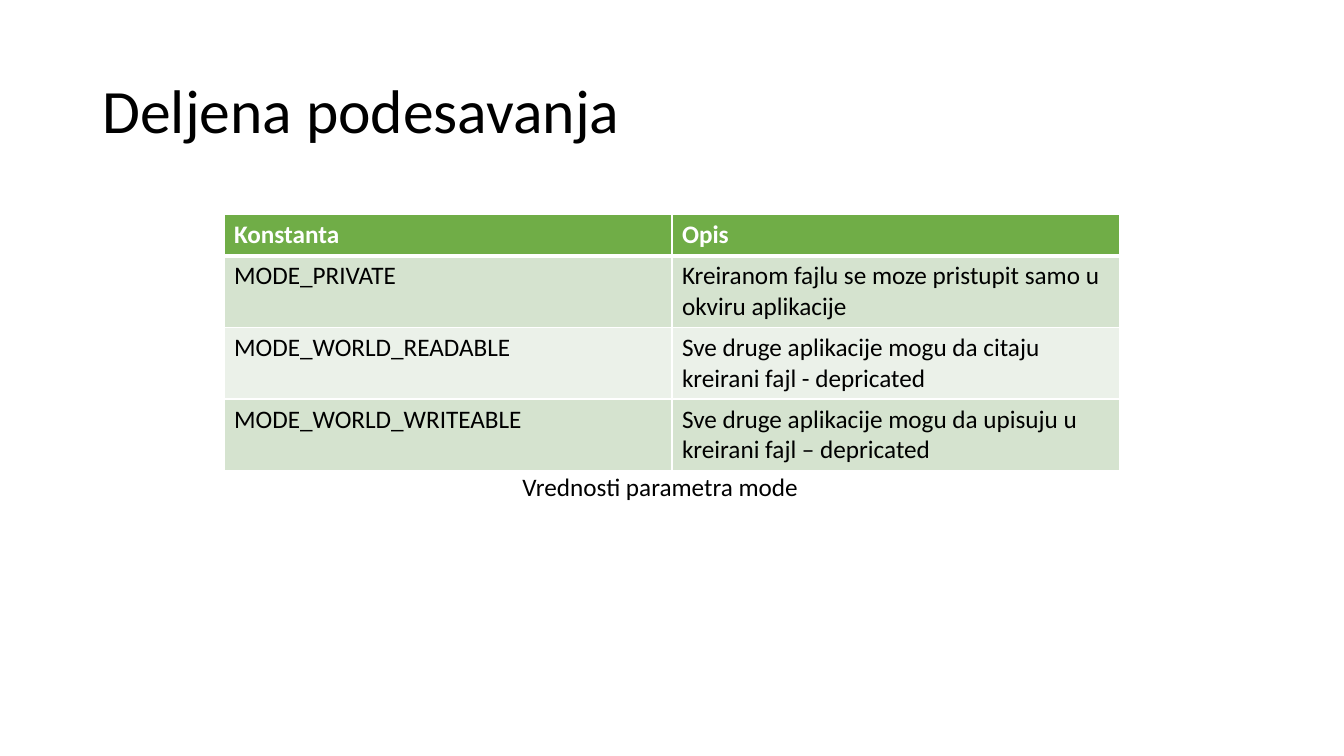
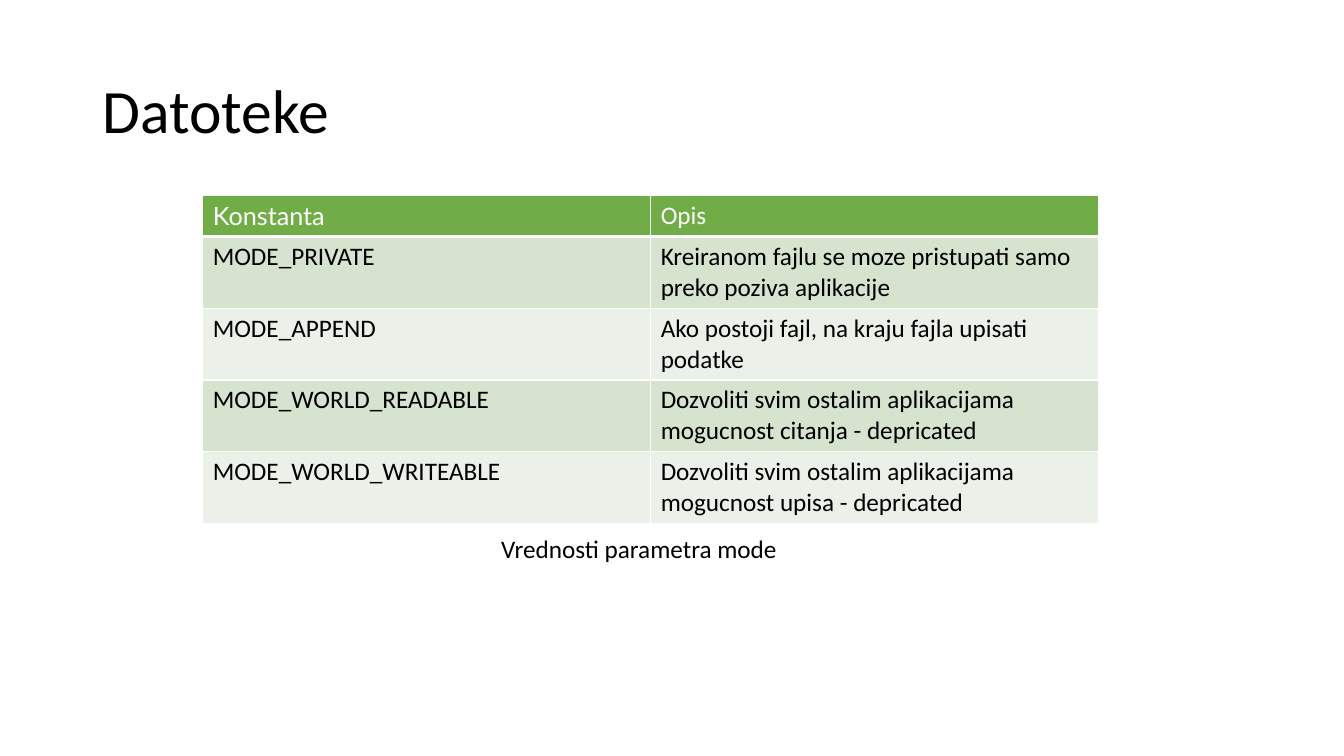
from dataclasses import dataclass

from lxml.etree import SubElement
from pptx import Presentation
from pptx.dml.color import RGBColor
from pptx.enum.text import MSO_ANCHOR, MSO_AUTO_SIZE, PP_ALIGN
from pptx.oxml.ns import qn
from pptx.presentation import Presentation as Deck
from pptx.slide import Slide
from pptx.table import _Cell
from pptx.text.text import TextFrame
from pptx.util import Pt

FONT = "Calibri"
BLACK, WHITE, GREEN = "000000", "FFFFFF", "70AD47"
BANDS = ("D5E3CF", "EBF1E9")
TITLE_SIZE, TEXT_SIZE = 44, 18
COLUMN_WIDTH, HEADER_HEIGHT, ROW_HEIGHT = 320, 29.2, 51.2
CAPTION_INDENT = 206
THIN, THICK = 1, 3


@dataclass(frozen=True)
class ModeTable:
    title: str
    left: float
    top: float
    rows: tuple[tuple[str, str], ...]
    caption_top: float
    header_fonts: tuple[str, str] = (FONT, FONT)
    header_bold: bool = False


HEADER = ("Konstanta", "Opis")
CAPTION = "Vrednosti parametra mode"
SLIDES = (
    ModeTable("Deljena podesavanja", 160, 153.4, (
        ("MODE_PRIVATE", "Kreiranom fajlu se moze pristupit samo u okviru aplikacije"),
        ("MODE_WORLD_READABLE", "Sve druge aplikacije mogu da citaju kreirani fajl - depricated"),
        ("MODE_WORLD_WRITEABLE", "Sve druge aplikacije mogu da upisuju u kreirani fajl – depricated"),
    ), 333.4, header_bold=True),
    ModeTable("Datoteke", 144.8, 139.8, (
        ("MODE_PRIVATE", "Kreiranom fajlu se moze pristupati samo preko poziva aplikacije"),
        ("MODE_APPEND", "Ako postoji fajl, na kraju fajla upisati podatke"),
        ("MODE_WORLD_READABLE", "Dozvoliti svim ostalim aplikacijama mogucnost citanja - depricated"),
        ("MODE_WORLD_WRITEABLE", "Dozvoliti svim ostalim aplikacijama mogucnost upisa - depricated"),
    ), 377.2, header_fonts=("Lato", FONT)),
)


def rgb(color: str) -> RGBColor:
    return RGBColor.from_string(color)


def write(tf: TextFrame, text: str, size: float = TEXT_SIZE, color: str = BLACK,
          font: str = FONT, bold: bool = False) -> None:
    tf.text = text
    p = tf.paragraphs[0]
    p.alignment = PP_ALIGN.LEFT
    f = p.runs[0].font
    f.name, f.size, f.bold = font, Pt(size), bold
    f.color.rgb = rgb(color)


def set_borders(cell: _Cell, top: float, bottom: float) -> None:
    tc_pr = cell._tc.get_or_add_tcPr()
    for side, width in (("L", THIN), ("R", THIN), ("T", top), ("B", bottom)):
        ln = SubElement(tc_pr, qn(f"a:ln{side}"), w=str(Pt(width)))
        fill = SubElement(ln, qn("a:solidFill"))
        SubElement(fill, qn("a:srgbClr"), val=WHITE)


def add_title(s: Slide, text: str) -> None:
    sp = s.shapes.title
    sp.left, sp.top, sp.width, sp.height = Pt(66), Pt(28.8), Pt(828), Pt(104.4)
    tf = sp.text_frame
    write(tf, text, TITLE_SIZE)
    tf.auto_size = MSO_AUTO_SIZE.NONE
    tf.vertical_anchor = MSO_ANCHOR.MIDDLE
    tf.paragraphs[0].line_spacing = 0.9


def add_mode_table(s: Slide, item: ModeTable) -> None:
    rows = (HEADER, *item.rows)
    height = HEADER_HEIGHT + len(item.rows) * ROW_HEIGHT
    table = s.shapes.add_table(len(rows), len(HEADER), Pt(item.left), Pt(item.top),
                               Pt(COLUMN_WIDTH * len(HEADER)), Pt(height)).table
    for i, row in enumerate(rows):
        table.rows[i].height = Pt(ROW_HEIGHT if i else HEADER_HEIGHT)
        for j, text in enumerate(row):
            cell = table.cell(i, j)
            if i:
                write(cell.text_frame, text)
            else:
                write(cell.text_frame, text, color=WHITE,
                      font=item.header_fonts[j], bold=item.header_bold)
            set_borders(cell, top=THICK if i == 1 else THIN, bottom=THIN if i else THICK)
            cell.fill.solid()
            cell.fill.fore_color.rgb = rgb(BANDS[(i - 1) % 2] if i else GREEN)


def add_caption(s: Slide, item: ModeTable) -> None:
    sp = s.shapes.add_textbox(Pt(item.left + CAPTION_INDENT), Pt(item.caption_top),
                              Pt(229), Pt(29))
    sp.text_frame.word_wrap = True
    write(sp.text_frame, CAPTION)


def add_slide(prs: Deck, item: ModeTable) -> None:
    s = prs.slides.add_slide(prs.slide_layouts.get_by_name("Title Only"))
    add_title(s, item.title)
    add_mode_table(s, item)
    add_caption(s, item)


def main() -> None:
    prs = Presentation()
    prs.slide_width, prs.slide_height = Pt(960), Pt(540)
    for item in SLIDES:
        add_slide(prs, item)
    prs.save("out.pptx")


if __name__ == "__main__":
    main()
